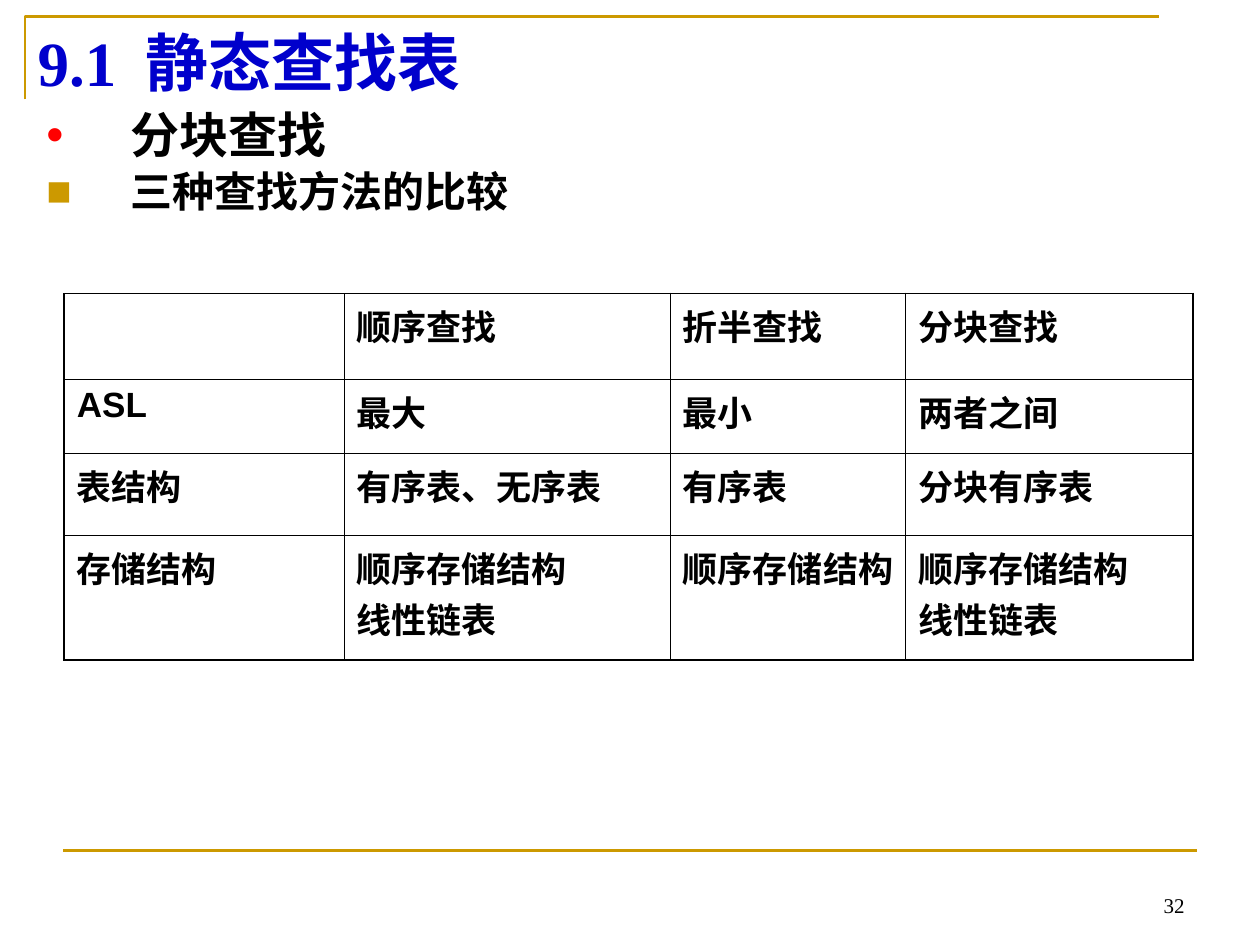
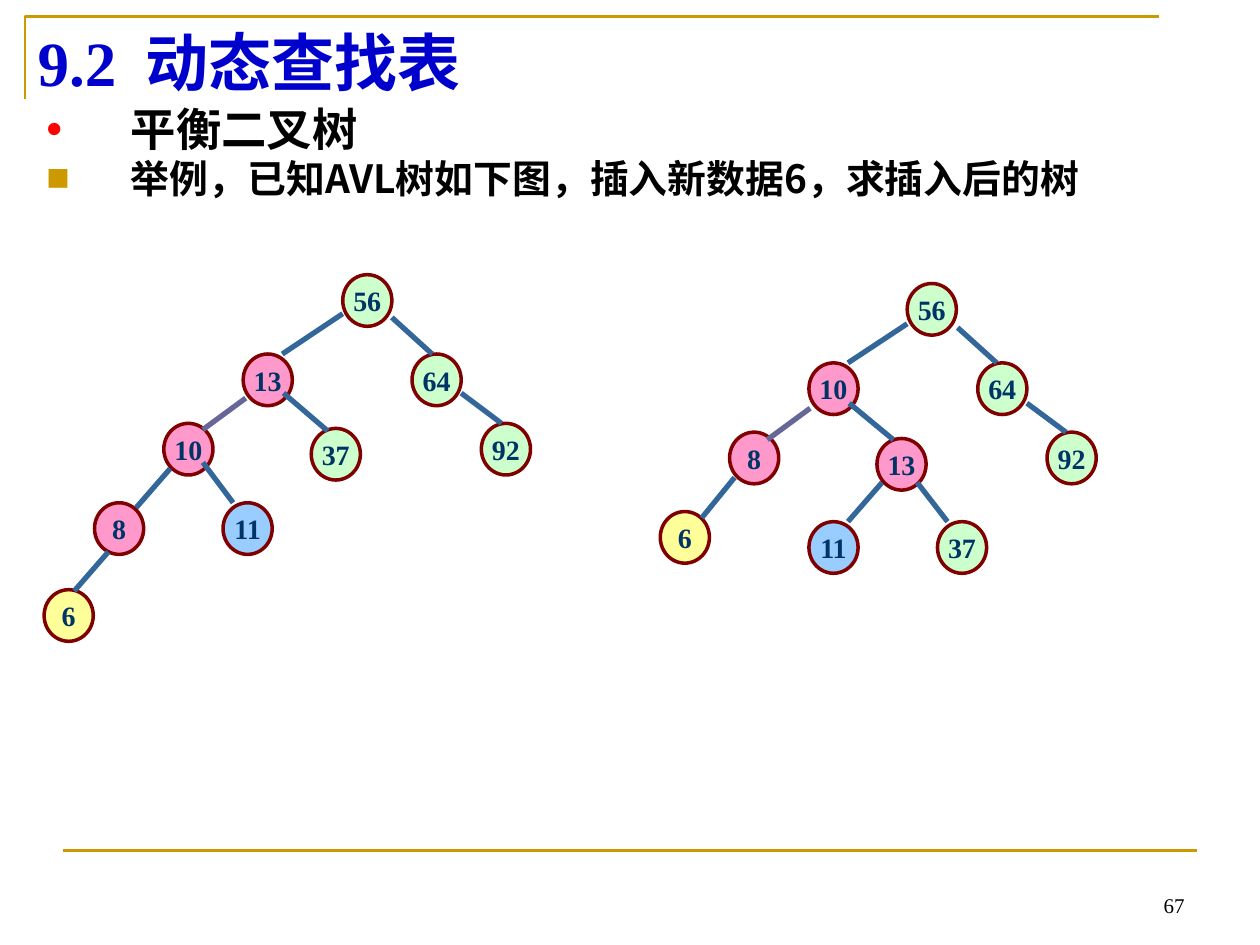
from lxml import etree
from pptx import Presentation
from pptx.dml.color import RGBColor
from pptx.enum.shapes import MSO_CONNECTOR, MSO_SHAPE
from pptx.enum.text import MSO_ANCHOR, PP_ALIGN
from pptx.oxml.ns import qn
from pptx.util import Inches, Pt

STRAIGHT, OVAL = MSO_CONNECTOR.STRAIGHT, MSO_SHAPE.OVAL
MIDDLE, BOTTOM = MSO_ANCHOR.MIDDLE, MSO_ANCHOR.BOTTOM
CENTER, RIGHT = PP_ALIGN.CENTER, PP_ALIGN.RIGHT
rgb = RGBColor.from_string

GOLD, BLUE, BLACK, RED = "CC9900", "0000CC", "000000", "FF0000"
GREEN, PINK, SKY, YELLOW = "CCFFCC", "FF99CC", "99CCFF", "FFFF99"
NODE_LINE, NODE_TEXT, EDGE, PURPLE = "800000", "003366", "336699", "666699"
SERIF, SANS, CJK = "Times New Roman", "Arial", "Noto Sans CJK SC"


def add_run(p, text, size, color=BLACK, font=SERIF, bold=True):
    r = p.add_run()
    r.text = text
    for name, value in {"size": Pt(size), "bold": bold, "name": font}.items():
        setattr(r.font, name, value)
    r.font.color.rgb = rgb(color)
    etree.SubElement(r._r.get_or_add_rPr(), qn("a:ea")).set("typeface", CJK)


def add_line(s, x1, y1, x2, y2, color, width):
    line = s.shapes.add_connector(STRAIGHT, Inches(x1), Inches(y1), Inches(x2), Inches(y2))
    line.line.color.rgb = rgb(color)
    line.line.width = Pt(width)
    etree.SubElement(line._element.spPr, qn("a:effectLst"))


prs = Presentation()
prs.slide_width, prs.slide_height = Inches(10), Inches(7.5)

# Section number, title, page, line spacing, bullets (text, size)
pages = [
    ("9.1", "静态查找表", "32", 0.88, [("分块查找", 28), ("三种查找方法的比较", 24)]),
    ("9.2", "动态查找表", "67", 0.8,
     [("平衡二叉树", 25.9), ("举例，已知AVL树如下图，插入新数据6，求插入后的树", 22.2)]),
]
bullet_marks = [("•", RED), ("■", GOLD)]

for number, title, page, spacing, bullets in pages:
    s = prs.slides.add_slide(prs.slide_layouts[6])

    # Corner rule and footer rule
    fb = s.shapes.build_freeform(Inches(0.2), Inches(0.79))
    fb.add_line_segments([(Inches(0.2), Inches(0.13)), (Inches(9.2), Inches(0.13))], close=False)
    corner = fb.convert_to_shape()
    corner.shadow.inherit = False
    corner.fill.background()
    corner.line.color.rgb = rgb(GOLD)
    corner.line.width = Pt(1.5)
    add_line(s, 0.5, 6.75, 9.5, 6.75, GOLD, 1.5)

    # Page number
    tf = s.shapes.add_textbox(Inches(7.17), Inches(6.83), Inches(2.33), Inches(0.5)).text_frame
    tf.word_wrap, tf.vertical_anchor = True, BOTTOM
    tf.paragraphs[0].alignment = RIGHT
    add_run(tf.paragraphs[0], page, 12, bold=False)

    # Title, with a tab stop after the section number
    tf = s.shapes.add_textbox(Inches(0.2), Inches(0.13), Inches(9), Inches(0.71)).text_frame
    tf.word_wrap, tf.vertical_anchor = True, MIDDLE
    p = tf.paragraphs[0]
    tabs = etree.SubElement(p._p.get_or_add_pPr(), qn("a:tabLst"))
    etree.SubElement(tabs, qn("a:tab"), pos=str(Inches(0.86)), algn="l")
    add_run(p, f"{number}\t{title}", 36, BLUE)

    # Bulleted heading and subheading
    tf = s.shapes.add_textbox(Inches(0.27), Inches(0.84), Inches(9.21), Inches(1.1)).text_frame
    tf.word_wrap = True
    for i, ((text, size), (mark, color)) in enumerate(zip(bullets, bullet_marks)):
        p = tf.add_paragraph() if i else tf.paragraphs[0]
        pPr = p._p.get_or_add_pPr()
        pPr.set("marL", str(Inches(0.67)))
        pPr.set("indent", str(-Inches(0.67)))
        clr = etree.SubElement(pPr, qn("a:buClr"))
        etree.SubElement(clr, qn("a:srgbClr"), val=color)
        etree.SubElement(pPr, qn("a:buFont"), typeface=SANS)
        etree.SubElement(pPr, qn("a:buChar"), char=mark)
        p.line_spacing = spacing
        p.space_before = Pt(4.5 if i else 0)
        add_run(p, text, size, font=CJK)

table_slide, tree_slide = prs.slides

# Comparison of the three search methods
rows = [
    ["", "顺序查找", "折半查找", "分块查找"],
    ["ASL", "最大", "最小", "两者之间"],
    ["表结构", "有序表、无序表", "有序表", "分块有序表"],
    ["存储结构", "顺序存储结构\n线性链表", "顺序存储结构", "顺序存储结构\n线性链表"],
]
col_widths = [2.22, 2.59, 1.87, 2.28]
row_heights = [0.68, 0.59, 0.65, 0.99]
THIN, THICK = 0.45, 1.08

table = table_slide.shapes.add_table(4, 4, Inches(0.51), Inches(2.33),
                                     Inches(8.96), Inches(2.91)).table
table.first_row = table.horz_banding = False
for col, width in zip(table.columns, col_widths):
    col.width = Inches(width)
for row, height in zip(table.rows, row_heights):
    row.height = Inches(height)

for i, row in enumerate(rows):
    for j, text in enumerate(row):
        cell = table.cell(i, j)
        tcPr = cell._tc.get_or_add_tcPr()
        outer = {"a:lnL": j == 0, "a:lnR": j == 3, "a:lnT": i == 0 and j > 0, "a:lnB": i == 3}
        for tag, thick in outer.items():
            ln = etree.SubElement(tcPr, qn(tag), w=str(Pt(THICK if thick else THIN)))
            fill = etree.SubElement(ln, qn("a:solidFill"))
            etree.SubElement(fill, qn("a:srgbClr"), val=BLACK)
        cell.fill.background()
        if not text:
            continue
        for k, part in enumerate(text.split("\n")):
            p = cell.text_frame.add_paragraph() if k else cell.text_frame.paragraphs[0]
            add_run(p, part, 20, font=SANS)

# AVL tree before and after rebalancing: nodes (label, left, top, fill), edges (x1, y1, x2, y2)
trees = [
    ([("56", 2.72, 2.18, GREEN), ("64", 3.27, 2.81, GREEN), ("10", 1.3, 3.36, PINK),
      ("92", 3.82, 3.36, GREEN), ("37", 2.47, 3.4, GREEN), ("6", 0.35, 4.68, YELLOW),
      ("8", 0.75, 3.99, PINK), ("13", 1.93, 2.81, PINK), ("11", 1.77, 3.99, SKY)],
     [(2.72, 2.49, 2.24, 2.81), (3.11, 2.52, 3.43, 2.81), (2.25, 3.12, 2.6, 3.42),
      (3.66, 3.12, 3.98, 3.36), (0.86, 4.38, 0.59, 4.69), (1.61, 3.67, 1.85, 3.99),
      (1.35, 3.72, 1.08, 4.03)],
     (1.95, 3.16, 1.61, 3.41)),
    ([("56", 7.2, 2.25, GREEN), ("64", 7.76, 2.88, GREEN), ("8", 5.79, 3.43, PINK),
      ("92", 8.31, 3.43, GREEN), ("13", 6.96, 3.48, PINK), ("6", 5.24, 4.06, YELLOW),
      ("11", 6.42, 4.14, SKY), ("10", 6.42, 2.88, PINK), ("37", 7.44, 4.14, GREEN)],
     [(7.2, 2.57, 6.73, 2.88), (7.6, 2.6, 7.91, 2.88), (6.74, 3.2, 7.09, 3.49),
      (5.83, 3.79, 5.57, 4.11), (8.15, 3.2, 8.46, 3.43), (7.28, 3.83, 7.52, 4.14),
      (7, 3.83, 6.73, 4.14)],
     (6.43, 3.24, 6.09, 3.49)),
]
for nodes, edges, purple_edge in trees:
    for label, x, y, fill in nodes:
        sp = tree_slide.shapes.add_shape(OVAL, Inches(x), Inches(y), Inches(0.39), Inches(0.41))
        sp.shadow.inherit = False
        sp.fill.solid()
        sp.fill.fore_color.rgb = rgb(fill)
        sp.line.color.rgb = rgb(NODE_LINE)
        sp.line.width = Pt(2)
        tf = sp.text_frame
        tf.word_wrap, tf.vertical_anchor = False, MIDDLE
        tf.paragraphs[0].alignment = CENTER
        add_run(tf.paragraphs[0], label, 16, NODE_TEXT)
    for edge in edges:
        add_line(tree_slide, *edge, EDGE, 3)
    add_line(tree_slide, *purple_edge, PURPLE, 3)

prs.save("out.pptx")
